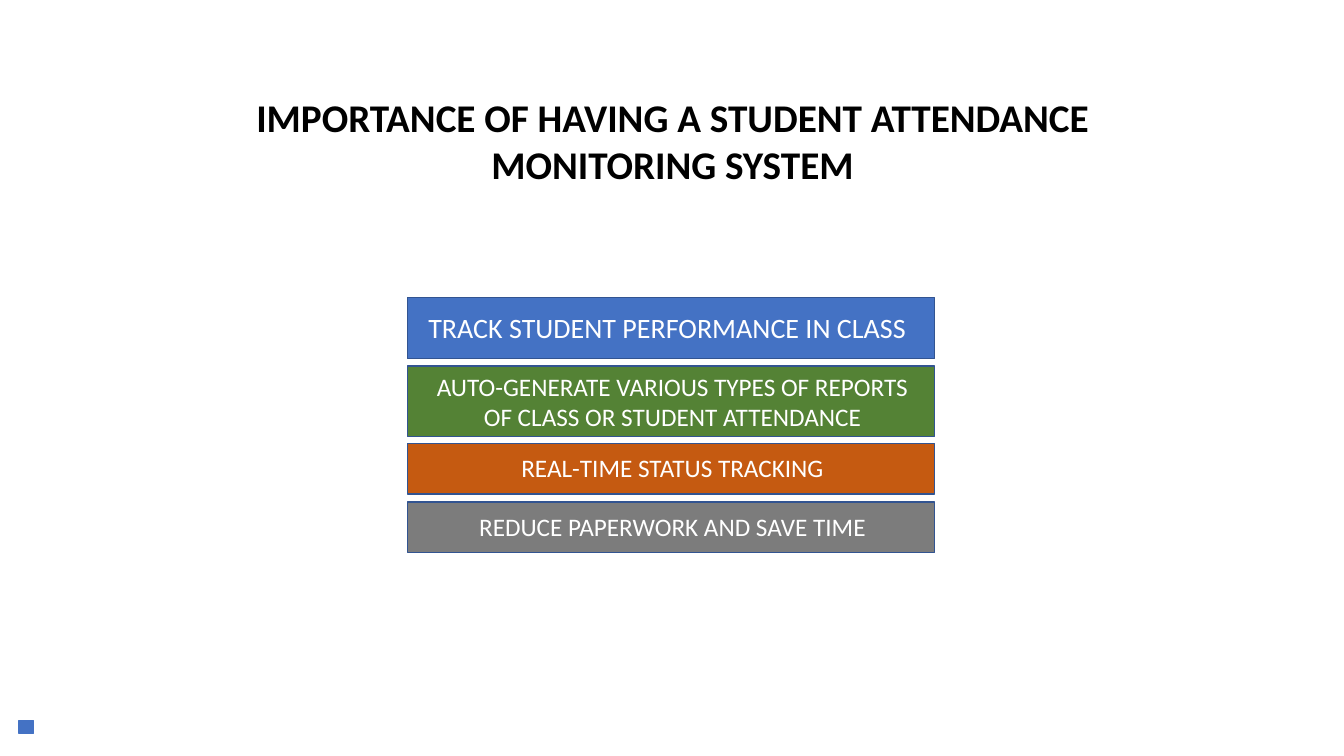
from pptx import Presentation
from pptx import util as u
from pptx.dml.color import RGBColor
from pptx.enum import shapes, text

COLORS = {
    "blue": "4472C4",
    "green": "548235",
    "orange": "C55A11",
    "gray": "7C7C7C",
    "outline": "325491",
    "black": "000000",
    "white": "FFFFFF",
}


def add_rectangle(left, top, width, height, fill, outline):
    rectangle = slide.shapes.add_shape(
        shapes.MSO_SHAPE.RECTANGLE,
        u.Inches(left), u.Inches(top), u.Inches(width), u.Inches(height))
    rectangle.shadow.inherit = False
    rectangle.fill.solid()
    rectangle.fill.fore_color.rgb = RGBColor.from_string(COLORS[fill])
    rectangle.line.color.rgb = RGBColor.from_string(COLORS[outline])
    rectangle.line.width = u.Pt(1)


def add_label(left, top, width, height, wording, size, color, alignment, bold=False):
    label = slide.shapes.add_textbox(
        u.Inches(left), u.Inches(top), u.Inches(width), u.Inches(height))
    label.text_frame.word_wrap = True
    label.text_frame.auto_size = text.MSO_AUTO_SIZE.SHAPE_TO_FIT_TEXT
    label.text_frame.text = wording
    paragraph = label.text_frame.paragraphs[0]
    paragraph.alignment = alignment
    font = paragraph.runs[0].font
    font.name = "Calibri"
    font.size = u.Pt(size)
    font.bold = bold
    font.color.rgb = RGBColor.from_string(COLORS[color])


presentation = Presentation()
presentation.slide_width = u.Inches(13.33)
presentation.slide_height = u.Inches(7.5)
slide = presentation.slides.add_slide(presentation.slide_layouts[6])

LEFT = text.PP_ALIGN.LEFT
CENTER = text.PP_ALIGN.CENTER

add_label(2.4, 0.88, 8.54, 1.04,
          "IMPORTANCE OF HAVING A STUDENT ATTENDANCE MONITORING SYSTEM",
          28, "black", CENTER, bold=True)

benefits = [
    ("TRACK STUDENT PERFORMANCE IN CLASS", "blue", 2.95, 0.61, 3.03, 0.44, 20, LEFT),
    ("AUTO-GENERATE VARIOUS TYPES OF REPORTS OF CLASS OR STUDENT ATTENDANCE",
     "green", 3.63, 0.7, 3.63, 0.71, 18, CENTER),
    ("REAL-TIME STATUS TRACKING", "orange", 4.4, 0.5, 4.44, 0.4, 18, CENTER),
    ("REDUCE PAPERWORK AND SAVE TIME", "gray", 4.98, 0.5, 5.02, 0.4, 18, CENTER),
]
for wording, fill, bar_top, bar_height, label_top, label_height, size, alignment in benefits:
    add_rectangle(4.04, bar_top, 5.23, bar_height, fill, "outline")
    add_label(4.15, label_top, 5.04, label_height, wording, size, "white", alignment)

add_rectangle(0.19, 7.15, 0.14, 0.13, "blue", "blue")

presentation.save("out.pptx")
